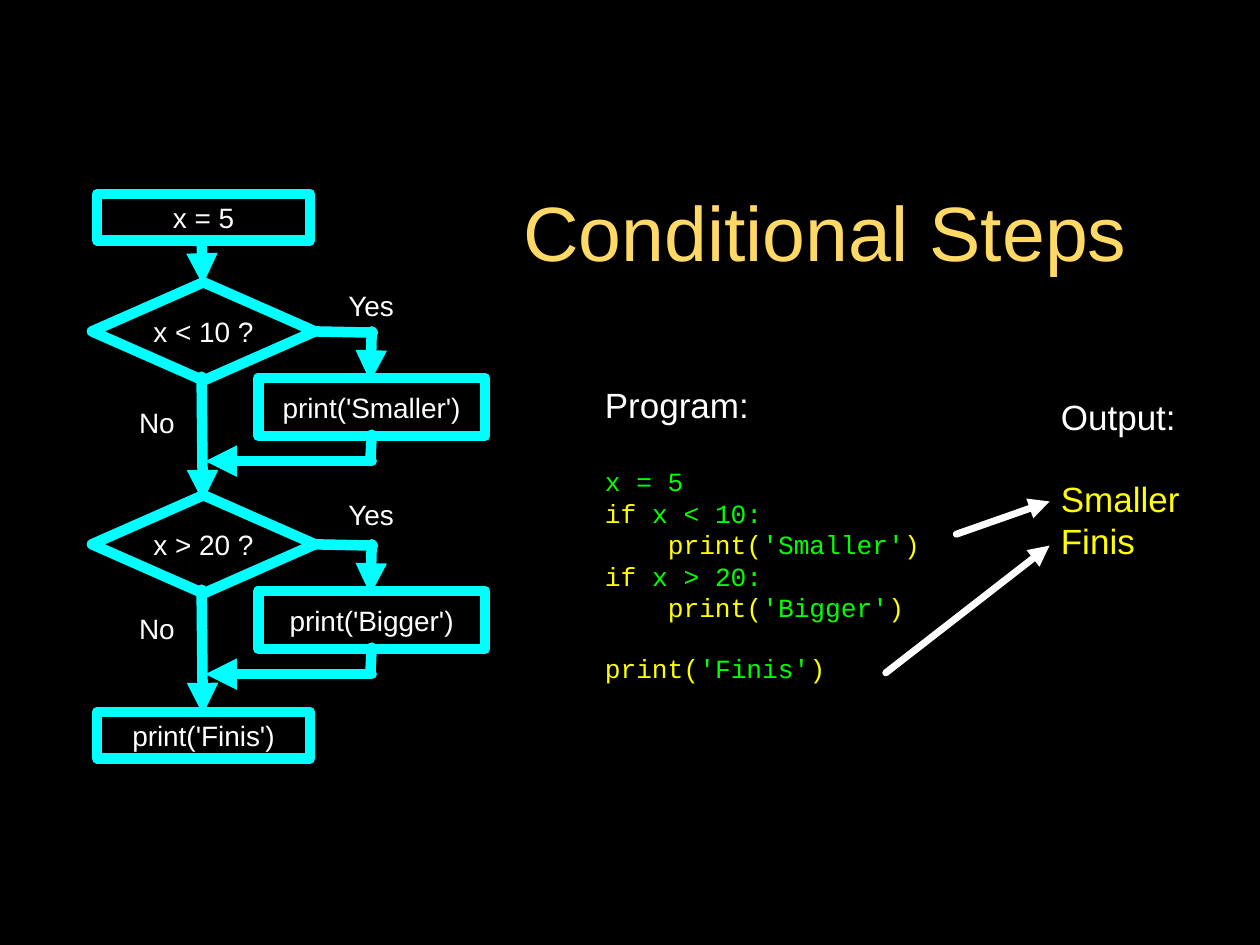
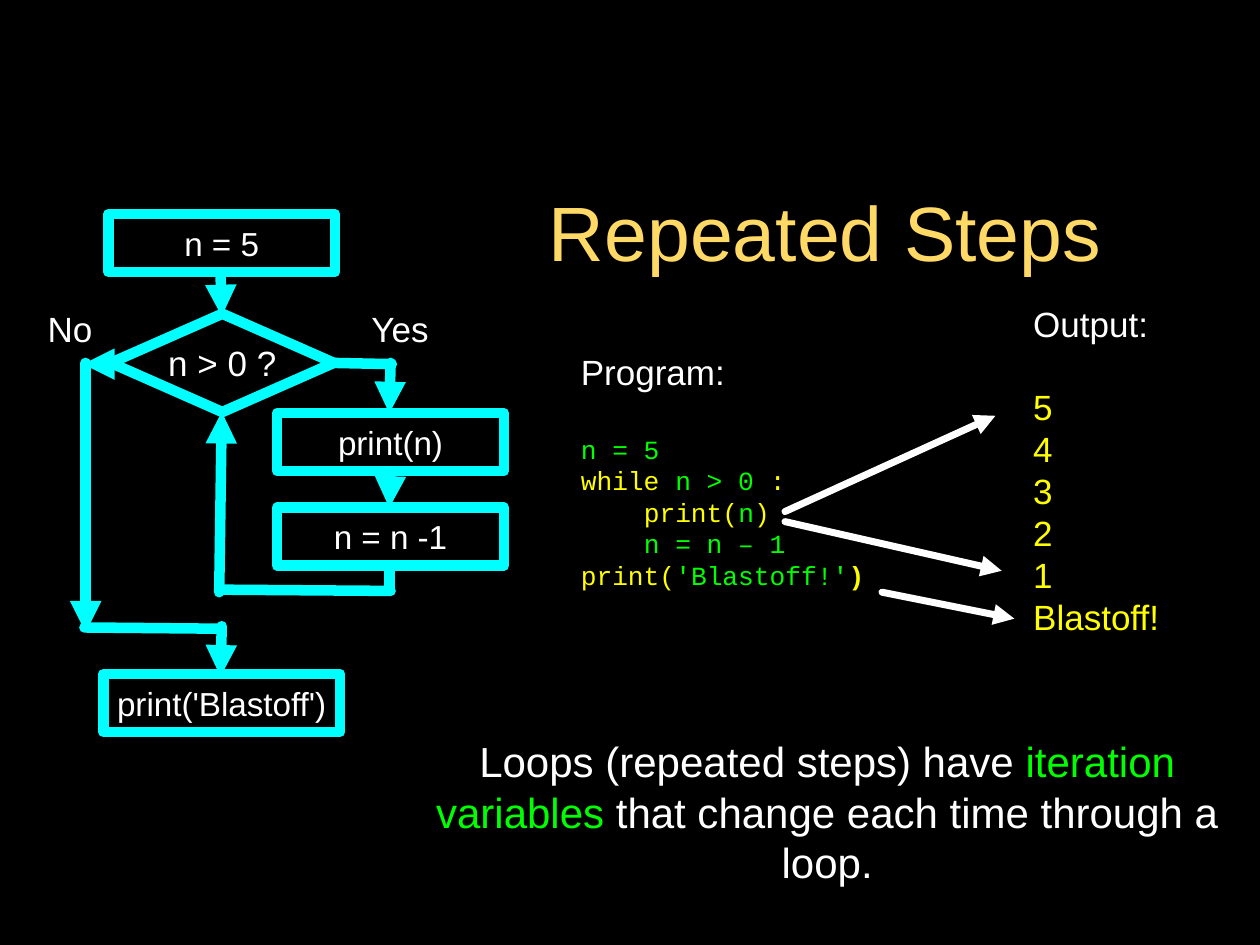
"""Build two slides that pair a flowchart with its program and its output."""
from lxml import etree
from pptx import Presentation
from pptx import util as u
from pptx.dml.color import RGBColor
from pptx.enum import shapes, text
from pptx.oxml import ns

BLACK = RGBColor(0x00, 0x00, 0x00)
WHITE = RGBColor(0xFF, 0xFF, 0xFF)
GOLD = RGBColor(0xFF, 0xD9, 0x66)
CYAN = RGBColor(0x00, 0xFF, 0xFF)
YELLOW = RGBColor(0xFF, 0xFF, 0x00)
GREEN = RGBColor(0x00, 0xFF, 0x00)

SANS, MONO = "Arial", "Courier New"
LEFT, CENTER = text.PP_ALIGN.LEFT, text.PP_ALIGN.CENTER
RECTANGLE = shapes.MSO_SHAPE.RECTANGLE
DIAMOND = shapes.MSO_SHAPE.DIAMOND

FONTS = {
    "title": ({"name": SANS, "size": u.Pt(44)}, GOLD),
    "heading": ({"name": SANS, "size": u.Pt(20)}, WHITE),
    "output": ({"name": SANS, "size": u.Pt(20)}, YELLOW),
    "keyword": ({"name": MONO, "size": u.Pt(15)}, YELLOW),
    "bold keyword": ({"name": MONO, "size": u.Pt(15), "bold": True}, YELLOW),
    "code": ({"name": MONO, "size": u.Pt(15)}, GREEN),
    "remark": ({"name": SANS, "size": u.Pt(24)}, WHITE),
    "term": ({"name": SANS, "size": u.Pt(24)}, GREEN),
    "small step": ({"name": SANS, "size": u.Pt(16)}, WHITE),
    "large step": ({"name": SANS, "size": u.Pt(19)}, WHITE),
}
FRAME = {
    "word_wrap": True,
    "auto_size": text.MSO_AUTO_SIZE.NONE,
    "vertical_anchor": text.MSO_ANCHOR.MIDDLE,
    "margin_left": 0, "margin_right": 0, "margin_top": 0, "margin_bottom": 0,
}
HEADING_GAP, CODE_GAP, CODE_INDENT = u.Pt(23), u.Pt(17), u.Pt(36)

presentation = Presentation()
presentation.slide_width, presentation.slide_height = u.Inches(10), u.Inches(7.5)
COLUMN = presentation.slide_width / 100
ROW = presentation.slide_height / 75
master_fill = presentation.slide_master.background.fill
master_fill.solid()
master_fill.fore_color.rgb = BLACK


def write(frame, paragraphs, alignment):
    """Fill a frame with (gap before, indent, runs) paragraphs."""
    for name, value in FRAME.items():
        setattr(frame, name, value)
    for index, (gap, indent, runs) in enumerate(paragraphs):
        paragraph = frame.add_paragraph() if index else frame.paragraphs[0]
        paragraph.alignment = alignment
        paragraph.space_before = gap
        if indent:
            properties = paragraph._p.get_or_add_pPr()
            properties.set("marL", str(indent))
            properties.set("indent", "0")
        for words, style in runs:
            run = paragraph.add_run()
            run.text = words
            values, colour = FONTS[style]
            for name, value in values.items():
                setattr(run.font, name, value)
            run.font.color.rgb = colour


def stroke(line, colour, points, arrow=False):
    """Give a line its colour, width, round ends and optional arrowhead."""
    line.color.rgb = colour
    line.width = u.Pt(points)
    element = line._get_or_add_ln()
    element.set("cap", "rnd")
    etree.SubElement(element, ns.qn("a:round"))
    if arrow:
        etree.SubElement(element, ns.qn("a:tailEnd"), type="triangle")


conditional = {
    "title": "Conditional Steps",
    "output": ((84.2, 31.3, 9.7, 13.4), ["Smaller", "Finis"]),
    "program": ((48, 27, 27.9, 30.7), [
        (HEADING_GAP, 0, [("x = 5", "code")]),
        (0, 0, [("if ", "keyword"), ("x < 10:", "code")]),
        (0, CODE_INDENT, [("print(", "keyword"), ("'Smaller'", "code"), (")", "keyword")]),
        (0, 0, [("if ", "keyword"), ("x > 20:", "code")]),
        (0, CODE_INDENT, [("print(", "keyword"), ("'Bigger'", "code"), (")", "keyword")]),
        (CODE_GAP, 0, [("print(", "keyword"), ("'Finis'", "code"), (")", "keyword")]),
    ]),
    "steps": [
        (RECTANGLE, "x = 5", "small step", (7.7, 15.4, 16.9, 3.7)),
        (RECTANGLE, "print('Finis')", "small step", (7.7, 56.5, 16.9, 3.7)),
    ],
    "labels": [],
    "flow": [(16, 19.1, 16.1, 22.6, True)],
    "pointers": [(75.9, 42.4, 83.3, 39.8), (70.3, 53.4, 83.3, 43.3)],
}
branches = [
    (22.4, "x < 10 ?", "print('Smaller')", 22.3, 31.6),
    (39.3, "x > 20 ?", "print('Bigger')", 38.9, 48),
]
for top, question, action, yes_top, no_top in branches:
    conditional["steps"] += [
        (DIAMOND, question, "small step", (7.3, top, 17.7, 7.8)),
        (RECTANGLE, action, "small step", (20.5, top + 7.6, 18, 4.6)),
    ]
    conditional["labels"] += [
        ("Yes", "small step", (27.2, yes_top, 4.5, 3.8)),
        ("No", "small step", (10.2, no_top, 4.5, 3.8)),
    ]
    conditional["flow"] += [
        (16, top + 7.5, 16.1, top + 17.4, True),
        (24.8, top + 3.9, 29.6, top + 4, False),
        (29.5, top + 3.9, 29.4, top + 7.9, True),
        (29.5, top + 12.1, 29.4, top + 14.1, False),
        (29.5, top + 14.2, 16.3, top + 14.2, True),
    ]

repeated = {
    "title": "Repeated Steps",
    "output": ((82, 24.2, 12.3, 26.2), ["5", "4", "3", "2", "1", "Blastoff!"]),
    "program": ((46.1, 25.4, 24, 23.9), [
        (HEADING_GAP, 0, [("n = 5", "code")]),
        (0, 0, [("while", "keyword"), (" n > 0", "code"), (" :", "keyword")]),
        (0, CODE_INDENT, [("print(", "keyword"), ("n", "code"), (")", "keyword")]),
        (0, CODE_INDENT, [("n = n – 1", "code")]),
        (0, 0, [("print(", "keyword"), ("'Blastoff!'", "code"), (")", "bold keyword")]),
    ]),
    "steps": [
        (RECTANGLE, "n = 5", "large step", (8.6, 17, 18, 4.6)),
        (DIAMOND, "n > 0 ?", "heading", (8.8, 24.9, 17.7, 7.8)),
        (RECTANGLE, "print(n)", "large step", (22, 32.8, 18, 4.6)),
        (RECTANGLE, "n = n -1", "large step", (22, 40.3, 18, 4.6)),
        (RECTANGLE, "print('Blastoff')", "large step", (8.2, 53.5, 18.8, 4.6)),
    ],
    "labels": [
        ("No", "heading", (3.3, 24.2, 4.5, 3.8)),
        ("Yes", "heading", (28.7, 24.2, 6.1, 3.8)),
    ],
    "flow": [
        (17.5, 21.6, 17.6, 25.1, True),
        (26.3, 28.8, 31.1, 28.9, False),
        (31, 28.8, 30.9, 32.8, True),
        (31, 37.4, 30.9, 40.3, True),
        (30.9, 44.9, 30.9, 46.8, False),
        (31, 46.9, 17.6, 46.8, False),
        (17.4, 47, 17.6, 32.7, True),
        (9, 28.9, 6.6, 28.9, True),
        (6.8, 28.8, 6.8, 50.2, True),
        (6.7, 49.8, 17.5, 49.9, False),
        (17.6, 49.7, 17.5, 53.7, True),
    ],
    "pointers": [(62.3, 40.6, 79, 33), (62.3, 41.4, 79.5, 45.3), (70, 47, 80.5, 49.1)],
}
remark = [(0, 0, [
    ("Loops (repeated steps) have ", "remark"),
    ("iteration variables ", "term"),
    ("that change each time through a loop.", "remark"),
])]

for content in (conditional, repeated):
    slide = presentation.slides.add_slide(presentation.slide_layouts[5])
    title = slide.shapes.title
    title.left, title.top = int(36 * COLUMN), int(14.1 * ROW)
    title.width, title.height = int(59 * COLUMN), int(8.4 * ROW)
    write(title.text_frame, [(0, 0, [(content["title"], "title")])], CENTER)

    output_area, results = content["output"]
    program_area, code = content["program"]
    output = [(0, 0, [("Output:", "heading")])] + [
        (0 if index else HEADING_GAP, 0, [(result, "output")])
        for index, result in enumerate(results)
    ]
    program = [(0, 0, [("Program:", "heading")])] + code
    blocks = [(output_area, output, LEFT), (program_area, program, LEFT)]
    blocks += [
        (area, [(0, 0, [(label, style)])], CENTER)
        for label, style, area in content["labels"]
    ]
    if content is repeated:
        blocks.append(((33.1, 57.1, 65.1, 14.6), remark, CENTER))
    for (left, top, width, height), paragraphs, alignment in blocks:
        box = slide.shapes.add_textbox(
            int(left * COLUMN), int(top * ROW), int(width * COLUMN), int(height * ROW))
        write(box.text_frame, paragraphs, alignment)

    for kind, words, style, (left, top, width, height) in content["steps"]:
        step = slide.shapes.add_shape(
            kind, int(left * COLUMN), int(top * ROW), int(width * COLUMN), int(height * ROW))
        step.shadow.inherit = False
        step.fill.background()
        stroke(step.line, CYAN, 6)
        write(step.text_frame, [(0, 0, [(words, style)])], CENTER)

    lines = [(*segment, CYAN, 6) for segment in content["flow"]]
    lines += [(*pointer, True, WHITE, 4) for pointer in content["pointers"]]
    for start_x, start_y, end_x, end_y, arrow, colour, points in lines:
        connector = slide.shapes.add_connector(
            shapes.MSO_CONNECTOR.STRAIGHT,
            int(start_x * COLUMN), int(start_y * ROW), int(end_x * COLUMN), int(end_y * ROW))
        stroke(connector.line, colour, points, arrow)
        etree.SubElement(connector._element.spPr, ns.qn("a:effectLst"))

presentation.save("out.pptx")
